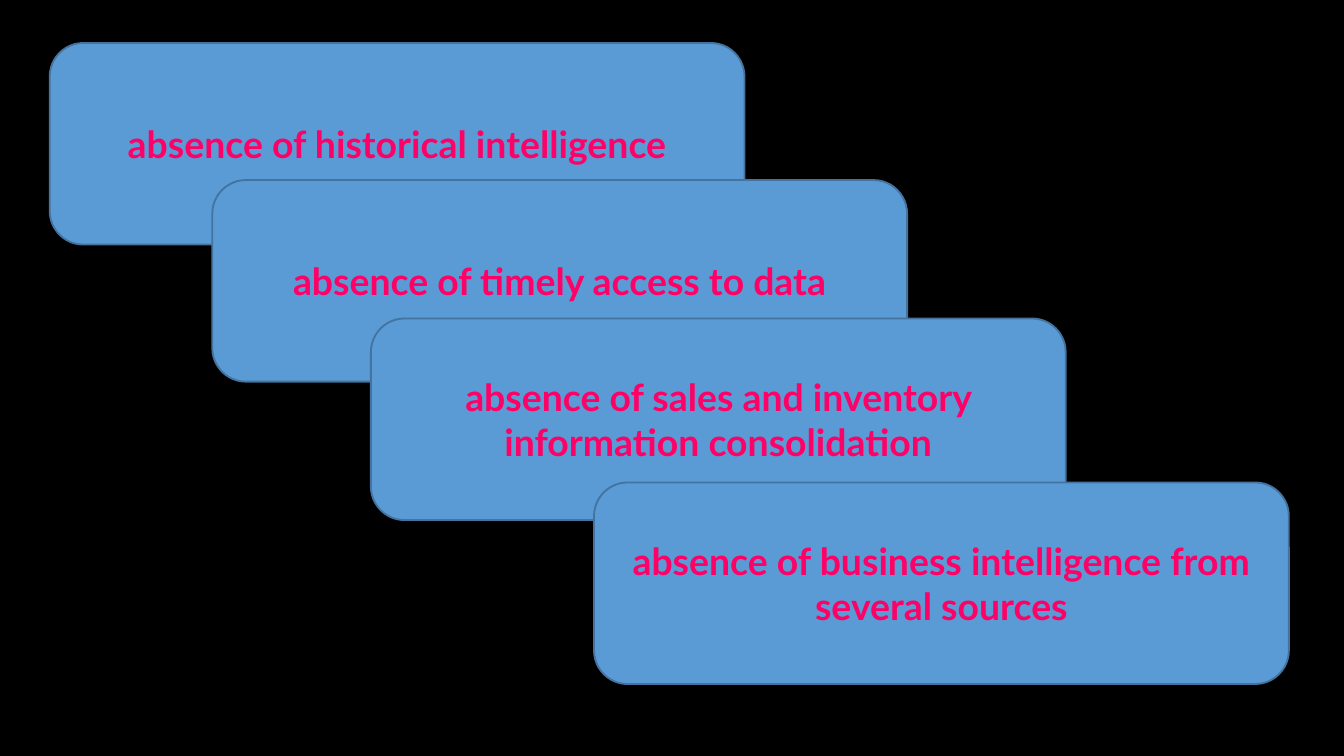
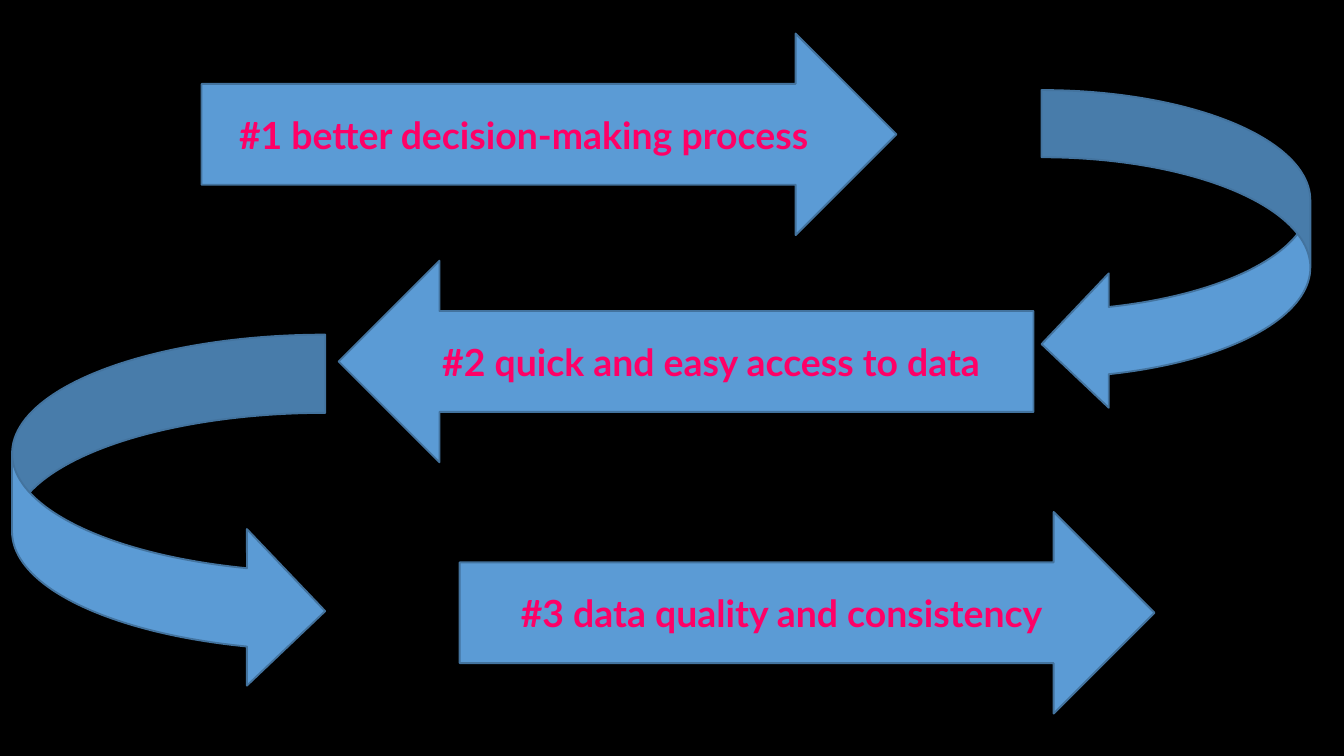
from pptx import Presentation
from pptx.dml.color import RGBColor
from pptx.enum.shapes import MSO_SHAPE
from pptx.enum.text import MSO_ANCHOR, PP_ALIGN
from pptx.util import Inches, Pt

# Content: (text, left, top) and (outline, text, left, top), in inches
PROBLEMS = [
    ("absence of historical intelligence", 0.37, 0.32),
    ("absence of timely access to data", 1.58, 1.34),
    ("absence of sales and inventory information consolidation", 2.76, 2.37),
    ("absence of business intelligence from several sources", 4.42, 3.59),
]
BENEFITS = [
    (MSO_SHAPE.LEFT_ARROW, "#2 quick and easy access to data", 2.52, 1.94),
    (MSO_SHAPE.RIGHT_ARROW, "#3 data quality and consistency", 3.42, 3.81),
    (MSO_SHAPE.RIGHT_ARROW, "#1 better decision-making process", 1.5, 0.25),
]
TURNS = [
    (MSO_SHAPE.CURVED_LEFT_ARROW, (7.75, 0.67, 2, 2.39)),
    (MSO_SHAPE.CURVED_RIGHT_ARROW, (0.09, 2.49, 2.33, 2.64)),
]

SLIDE_WIDTH = Inches(10)
SLIDE_HEIGHT = SLIDE_WIDTH * 9 // 16
LABEL_SIZE = (5.17, 1.5)
BLACK = RGBColor(0x00, 0x00, 0x00)
BLUE = RGBColor(0x5B, 0x9B, 0xD5)
DARK_BLUE = RGBColor(0x43, 0x73, 0x9E)
PINK = RGBColor(0xFF, 0x00, 0x66)
LABEL_FONT = {"name": "Lato", "size": Pt(20), "bold": True}
BLANK_LAYOUT = 6


def add_black_slide(deck):
    slide = deck.slides.add_slide(deck.slide_layouts[BLANK_LAYOUT])
    slide.background.fill.solid()
    slide.background.fill.fore_color.rgb = BLACK
    return slide


def add_blue_shape(slide, outline, box):
    shape = slide.shapes.add_shape(outline, *map(Inches, box))
    shape.shadow.inherit = False
    shape.fill.solid()
    shape.fill.fore_color.rgb = BLUE
    shape.line.color.rgb = DARK_BLUE
    shape.line.width = Pt(1)
    return shape


def add_label(slide, outline, text, left, top):
    """Add a blue shape of the shared label size with centred pink text."""
    frame = add_blue_shape(slide, outline, (left, top, *LABEL_SIZE)).text_frame
    frame.word_wrap = True
    frame.vertical_anchor = MSO_ANCHOR.MIDDLE
    paragraph = frame.paragraphs[0]
    paragraph.alignment = PP_ALIGN.CENTER
    run = paragraph.add_run()
    run.text = text
    for attribute, value in LABEL_FONT.items():
        setattr(run.font, attribute, value)
    run.font.color.rgb = PINK


def main():
    deck = Presentation()
    deck.slide_width = SLIDE_WIDTH
    deck.slide_height = SLIDE_HEIGHT

    problems_slide = add_black_slide(deck)
    for problem in PROBLEMS:
        add_label(problems_slide, MSO_SHAPE.ROUNDED_RECTANGLE, *problem)

    benefits_slide = add_black_slide(deck)
    for benefit in BENEFITS:
        add_label(benefits_slide, *benefit)
    for outline, box in TURNS:
        add_blue_shape(benefits_slide, outline, box)

    deck.save("out.pptx")


if __name__ == "__main__":
    main()
